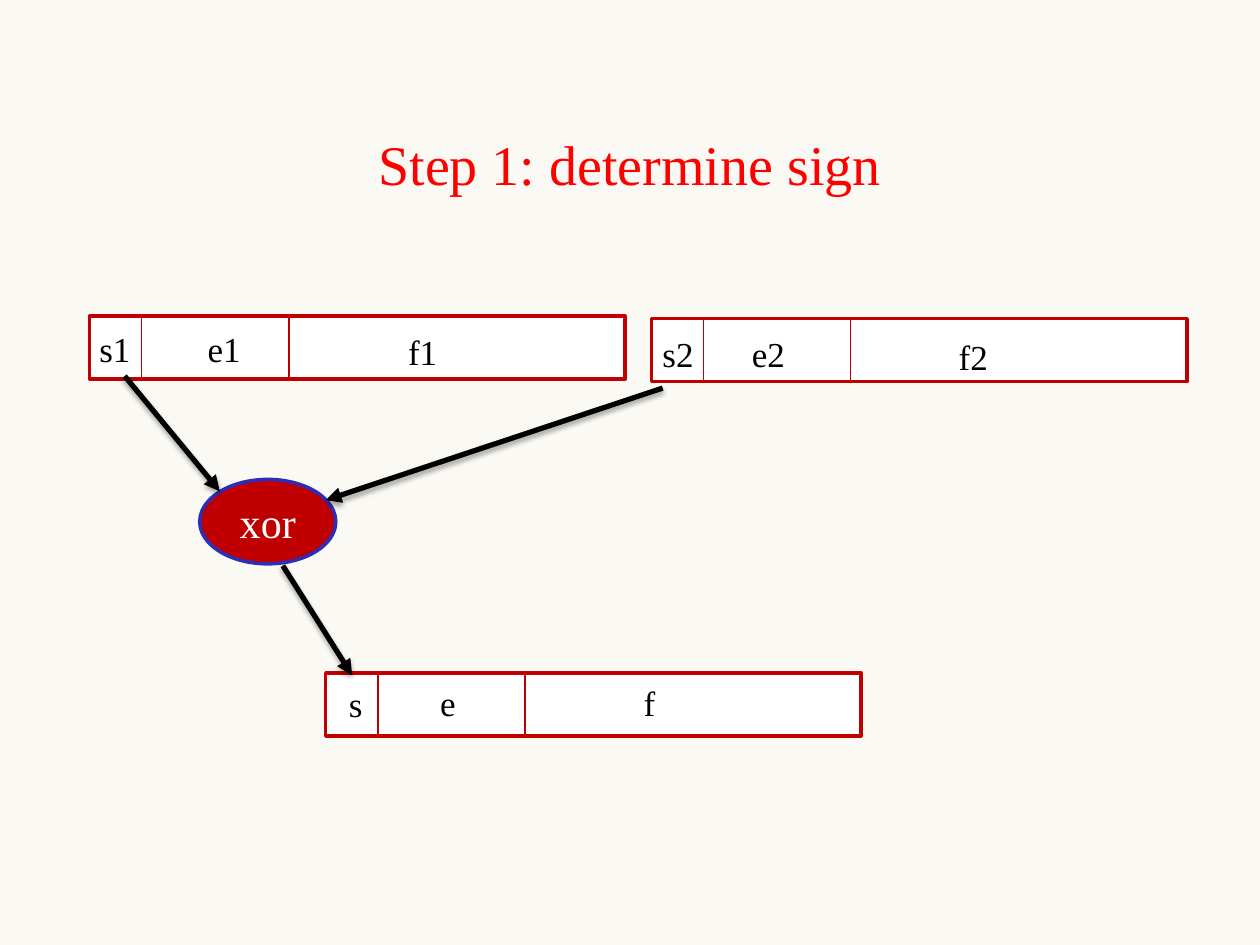
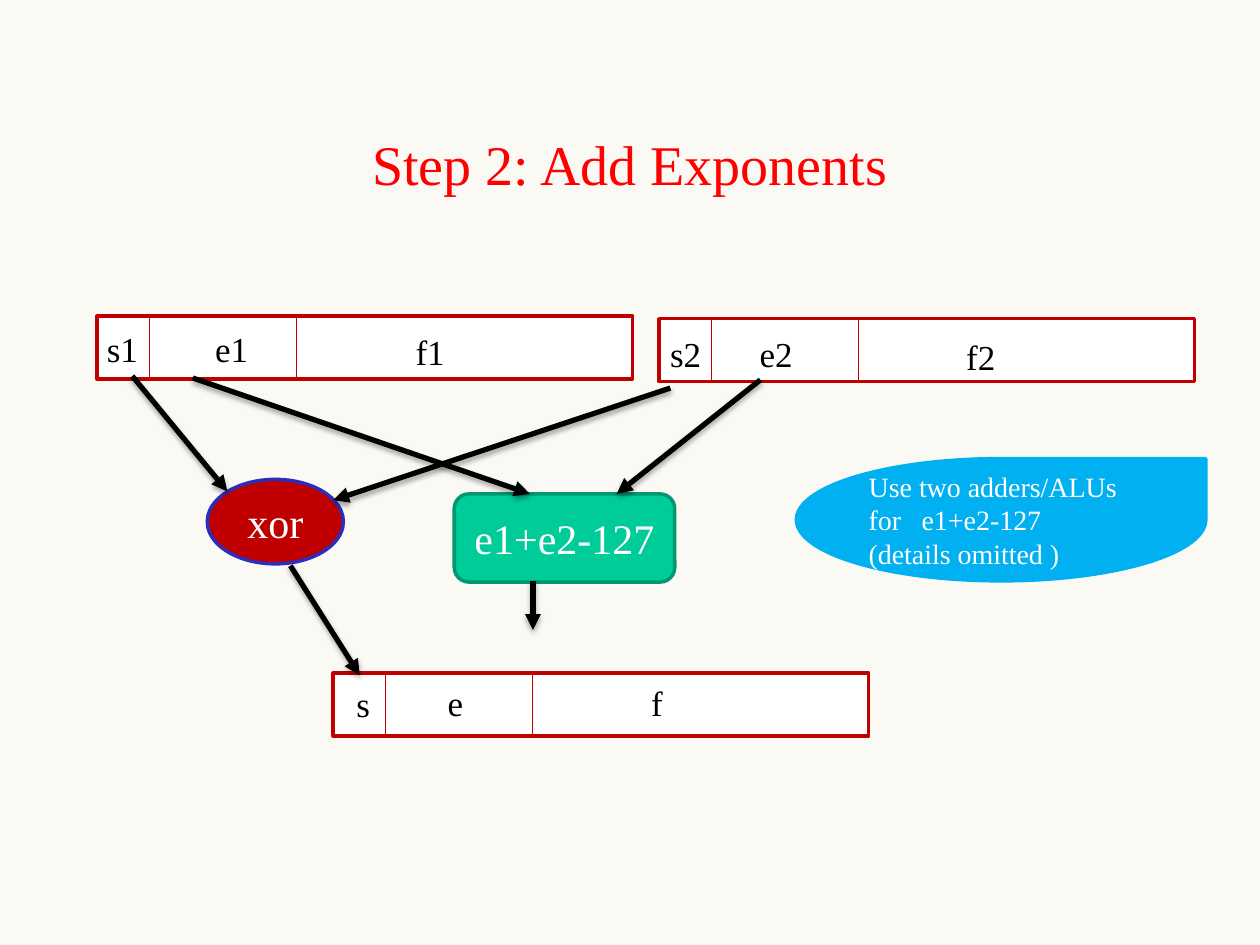
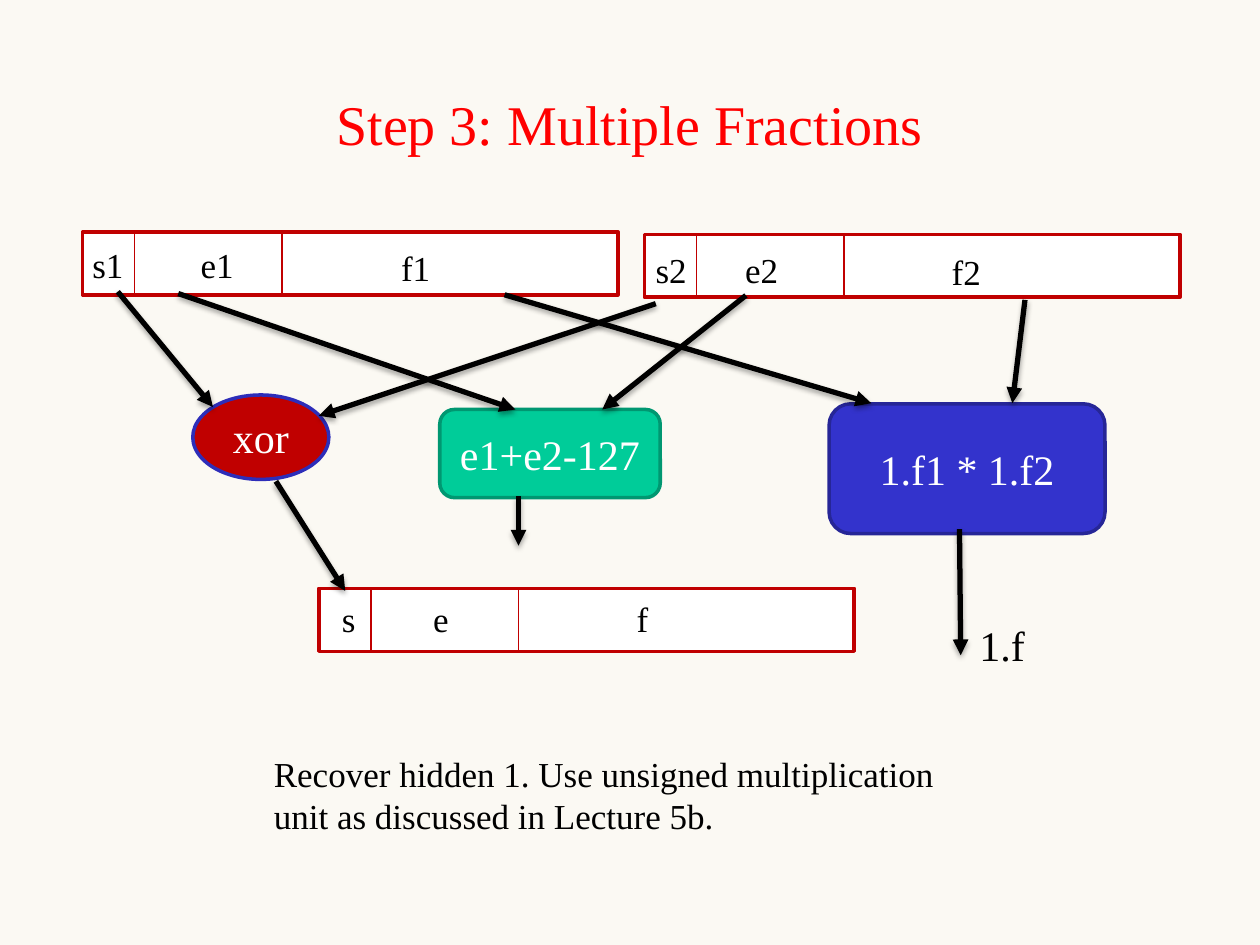
from dataclasses import dataclass

from lxml import etree
from pptx import Presentation
from pptx.dml.color import RGBColor
from pptx.enum.shapes import MSO_CONNECTOR, MSO_SHAPE
from pptx.enum.text import MSO_ANCHOR, PP_ALIGN
from pptx.oxml.ns import qn
from pptx.util import Inches, Pt

STRAIGHT = MSO_CONNECTOR.STRAIGHT
RECTANGLE = MSO_SHAPE.RECTANGLE
ELLIPSE = MSO_SHAPE.OVAL
ROUNDED = MSO_SHAPE.ROUNDED_RECTANGLE
TEARDROP = MSO_SHAPE.TEAR
LEFT, CENTER = PP_ALIGN.LEFT, PP_ALIGN.CENTER
TOP, MIDDLE = MSO_ANCHOR.TOP, MSO_ANCHOR.MIDDLE

SLIDE_WIDTH, SLIDE_HEIGHT = Inches(10), Inches(7.5)
COLUMNS, ROWS = 100, 75
BLANK_LAYOUT = 6
SIGN_END, EXPONENT_END = 4.15, 15.83


@dataclass(frozen=True)
class Theme:
    font: str = "Times New Roman"
    background: str = "FBF9F3"
    title: str = "FF0000"
    ink: str = "000000"
    paper: str = "FFFFFF"
    word_line: str = "C00000"
    sign_fill: str = "C00000"
    sign_line: str = "2D2DB9"
    exponent_fill: str = "00CC99"
    exponent_line: str = "009771"
    fraction_fill: str = "3333CC"
    fraction_line: str = "262697"
    hint: str = "00B0F0"
    title_size: int = 32
    unit_size: int = 24
    label_size: int = 20
    hint_size: int = 16
    outline: float = 2
    divider: float = 0.75
    arrow: float = 3


THEME = Theme()


@dataclass(frozen=True)
class Box:
    """Area of the slide, in grid columns and rows."""
    x: float
    y: float
    w: float
    h: float

    def inner(self, x, y, w, h):
        return Box(self.x + x, self.y + y, w, h)

    def point(self, x, y):
        return column(self.x + x), row(self.y + y)

    def emu(self):
        return column(self.x), row(self.y), column(self.w), row(self.h)


def column(count):
    return round(SLIDE_WIDTH * count / COLUMNS)


def row(count):
    return round(SLIDE_HEIGHT * count / ROWS)


def rgb(value):
    return RGBColor.from_string(value)


def write(shape, text, size, color, align=LEFT, anchor=TOP, wrap=True):
    frame = shape.text_frame
    frame.text = text
    frame.word_wrap = wrap
    frame.vertical_anchor = anchor
    paragraph = frame.paragraphs[0]
    paragraph.alignment = align
    for run in paragraph.runs:
        run.font.name = THEME.font
        run.font.size = Pt(size)
        run.font.color.rgb = rgb(color)


def add_text(slide, box, text, size, color=THEME.ink, **layout):
    write(slide.shapes.add_textbox(*box.emu()), text, size, color, **layout)


def add_outlined(slide, kind, box, fill, line):
    shape = slide.shapes.add_shape(kind, *box.emu())
    shape.shadow.inherit = False
    shape.fill.solid()
    shape.fill.fore_color.rgb = rgb(fill)
    shape.line.color.rgb = rgb(line)
    shape.line.width = Pt(THEME.outline)
    return shape


def add_line(slide, start, end, color, width):
    """Draw a plain line; return it with its empty effect list."""
    line = slide.shapes.add_connector(STRAIGHT, *start, *end)
    line.line.color.rgb = rgb(color)
    line.line.width = Pt(width)
    return line, etree.SubElement(line._element.spPr, qn("a:effectLst"))


def add_arrow(slide, start, end):
    arrow, effects = add_line(slide, start, end, THEME.ink, THEME.arrow)
    outline = arrow._element.spPr.find(qn("a:ln"))
    etree.SubElement(outline, qn("a:tailEnd"), type="triangle")
    shadow = etree.SubElement(effects, qn("a:outerShdw"), blurRad=str(Pt(3.1)),
                              dist=str(Pt(1.8)), dir="5400000", rotWithShape="0")
    color = etree.SubElement(shadow, qn("a:srgbClr"), val=THEME.ink)
    etree.SubElement(color, qn("a:alpha"), val="35000")


def add_arrows(slide, diagram, routes):
    for start, end in routes:
        add_arrow(slide, diagram.point(*start), diagram.point(*end))


def add_unit(slide, kind, box, text, fill, line):
    unit = add_outlined(slide, kind, box, fill, line)
    write(unit, text, THEME.unit_size, THEME.paper, align=CENTER, anchor=MIDDLE)


def add_float_word(slide, box, labels):
    """Draw a floating-point word: sign, exponent and fraction fields."""
    add_outlined(slide, RECTANGLE, box, THEME.paper, THEME.word_line)
    for field_end in (SIGN_END, EXPONENT_END):
        add_line(slide, box.point(field_end, 0), box.point(field_end, box.h),
                 THEME.word_line, THEME.divider)
    for text, x, y in labels:
        add_text(slide, box.inner(x, y, 5, 4.4), text, THEME.label_size, wrap=False)


def add_words(slide, diagram):
    words = (
        (0, 0, (("s1", -0.2, 0.4), ("e1", 8.4, 0.4), ("f1", 24.3, 0.65))),
        (44.6, 0.2, (("s2", -0.1, 0.6), ("e2", 7, 0.6), ("f2", 23.4, 0.8))),
        (18.75, 28.3, (("s", 0.85, 0.25), ("e", 8.1, 0.2), ("f", 24.25, 0.2))),
    )
    for x, y, labels in words:
        add_float_word(slide, diagram.inner(x, y, 42.5, 5), labels)


def add_sign_unit(slide, diagram):
    add_unit(slide, ELLIPSE, diagram.inner(8.75, 12.95, 10.8, 6.7), "xor",
             THEME.sign_fill, THEME.sign_line)
    add_arrows(slide, diagram, (
        ((2.8, 4.75), (10.35, 13.9)),
        ((45.5, 5.7), (18.75, 14.6)),
        ((15.35, 19.8), (20.85, 28.5)),
    ))


def add_exponent_unit(slide, diagram):
    add_unit(slide, ROUNDED, diagram.inner(28.35, 14.1, 17.5, 7), "e1+e2-127",
             THEME.exponent_fill, THEME.exponent_line)
    add_arrows(slide, diagram, (
        ((7.6, 4.9), (34.35, 14.1)),
        ((52.65, 5.05), (41.25, 14.1)),
        ((34.6, 21), (34.6, 24.9)),
    ))


def add_exponent_hint(slide, diagram):
    hint = add_outlined(slide, TEARDROP, diagram.inner(55.5, 11.3, 32.5, 9.7),
                        THEME.hint, THEME.hint)
    write(hint, "Use two adders/ALUs\vfor\te1+e2-127\v(details omitted )",
          THEME.hint_size, THEME.paper, anchor=MIDDLE)
    properties = hint.text_frame.paragraphs[0]._p.get_or_add_pPr()
    stops = etree.SubElement(properties, qn("a:tabLst"))
    etree.SubElement(stops, qn("a:tab"), pos=str(column(4.2)), algn="l")


def add_fraction_unit(slide, diagram):
    add_unit(slide, ROUNDED, diagram.inner(59.25, 13.65, 21.9, 10.3), "1.f1 * 1.f2",
             THEME.fraction_fill, THEME.fraction_line)
    add_arrows(slide, diagram, (
        ((33.5, 5), (62.6, 13.6)),
        ((74.8, 5.4), (73.8, 13.6)),
        ((69.6, 23.6), (69.7, 33.6)),
    ))
    add_text(slide, diagram.inner(70.2, 30.3, 7, 5), "1.f", THEME.unit_size)


def add_fraction_note(slide, diagram):
    add_text(slide, diagram.inner(14.2, 40.8, 57.3, 7.7),
             "Recover hidden 1. Use unsigned multiplication unit "
             "as discussed in Lecture 5b.", THEME.label_size)


def add_step(deck, title, title_rows, diagram, parts):
    slide = deck.slides.add_slide(deck.slide_layouts[BLANK_LAYOUT])
    slide.background.fill.solid()
    slide.background.fill.fore_color.rgb = rgb(THEME.background)
    add_text(slide, Box(7.5, 6.7, 85, title_rows), title, THEME.title_size,
             THEME.title, align=CENTER, anchor=MIDDLE)
    for add_part in parts:
        add_part(slide, diagram)


def main():
    deck = Presentation()
    deck.slide_width, deck.slide_height = SLIDE_WIDTH, SLIDE_HEIGHT
    sign = (add_words, add_sign_unit)
    exponent = (*sign, add_exponent_unit)
    add_step(deck, "Step 1: determine sign", 12.5, Box(7.1, 25.1, 88, 34), sign)
    add_step(deck, "Step 2: Add Exponents", 12.5, Box(7.7, 25.1, 88, 34),
             (*exponent, add_exponent_hint))
    add_step(deck, "Step 3: Multiple Fractions", 6.1, Box(6.55, 18.4, 88, 49),
             (*exponent, add_fraction_unit, add_fraction_note))
    deck.save("out.pptx")


if __name__ == "__main__":
    main()
